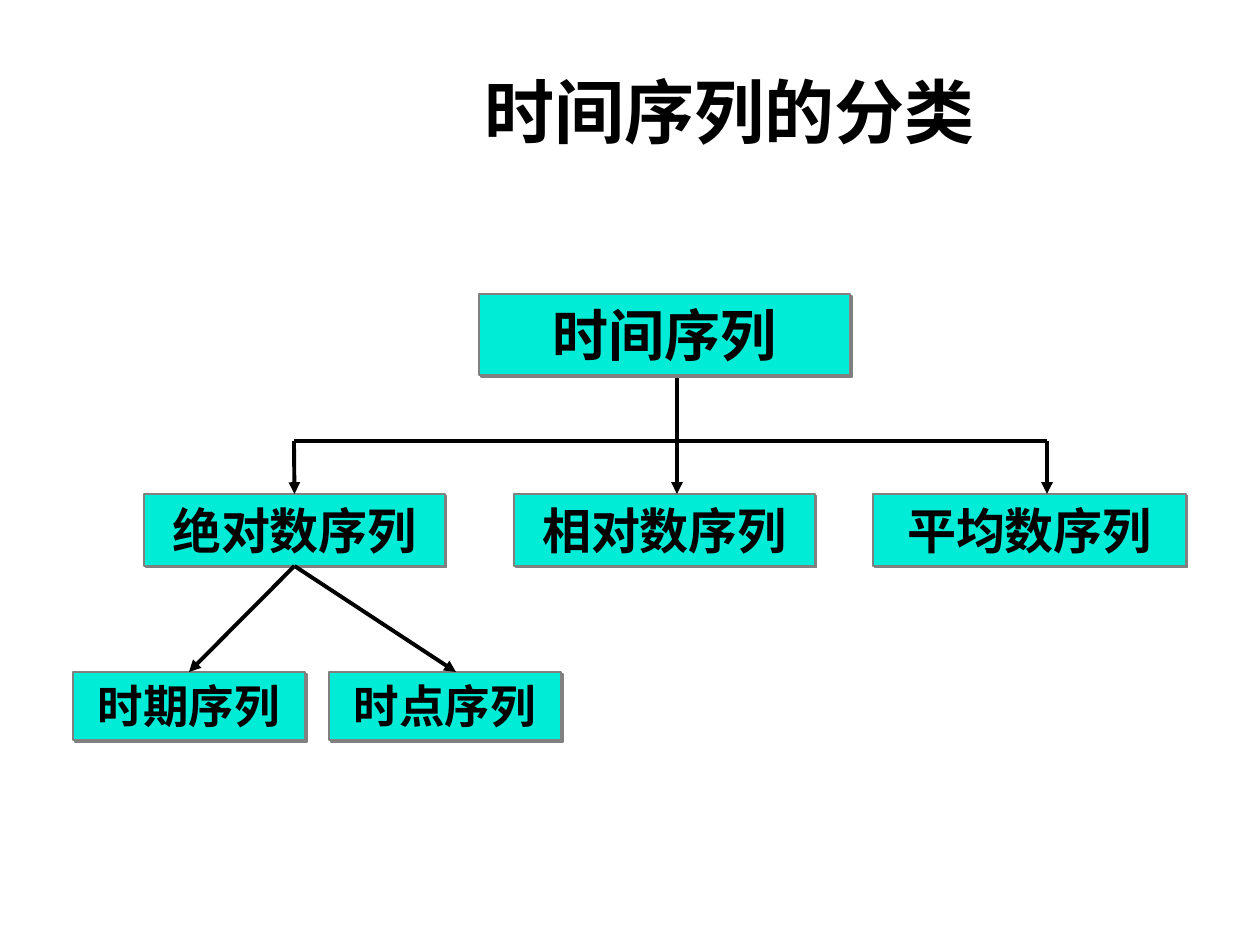
from typing import NamedTuple

from lxml.etree import SubElement as Sub
from pptx import Presentation
from pptx.dml.color import RGBColor
from pptx.enum.shapes import MSO_CONNECTOR as Link, MSO_SHAPE as Form
from pptx.enum.text import MSO_ANCHOR as Anchor, MSO_AUTO_SIZE as Fit, PP_ALIGN as Align
from pptx.oxml.ns import qn
from pptx.util import Emu, Pt

TEAL = RGBColor(0x00, 0xEC, 0xD6)
GRAY = RGBColor(0x80, 0x80, 0x80)
BLACK = RGBColor(0x00, 0x00, 0x00)
FONT = "Arial"
DPI = 126
TOP, LEFT, BOTTOM, RIGHT = range(4)


class Box(NamedTuple):
    text: str
    x: int
    y: int
    w: int
    h: int
    size: int


class Line(NamedTuple):
    x1: int
    y1: int
    x2: int
    y2: int
    arrow: bool = False
    start: str = ""
    end: str = ""


def px(n: int) -> Emu:
    return Emu(round(n * 914400 / DPI))


def write(shape, text: str, *, size: int, anchor=Anchor.TOP, fit=Fit.NONE) -> None:
    frame = shape.text_frame
    frame.word_wrap = True
    frame.auto_size = fit
    frame.vertical_anchor = anchor
    para = frame.paragraphs[0]
    para.alignment = Align.CENTER
    run = para.add_run()
    run.text = text
    font = run.font
    font.name, font.size, font.bold = FONT, Pt(size), True
    font.color.rgb = BLACK


def shade(shape) -> None:
    shape.shadow.inherit = False
    fx = shape._element.spPr.find(qn("a:effectLst"))
    drop = Sub(fx, qn("a:outerShdw"), dist=str(Pt(1.4)), dir="2700000",
               algn="ctr", rotWithShape="0")
    Sub(drop, qn("a:srgbClr"), val=str(GRAY))


def draw_box(slide, box: Box):
    shape = slide.shapes.add_shape(
        Form.RECTANGLE, px(box.x), px(box.y), px(box.w), px(box.h))
    shape.fill.solid()
    shape.fill.fore_color.rgb = TEAL
    shape.line.color.rgb = GRAY
    shape.line.width = Pt(1)
    shade(shape)
    write(shape, box.text, size=box.size, fit=Fit.SHAPE_TO_FIT_TEXT)
    return shape


def draw_line(slide, line: Line, nodes: dict) -> None:
    wire = slide.shapes.add_connector(
        Link.STRAIGHT, px(line.x1), px(line.y1), px(line.x2), px(line.y2))
    if line.start:
        wire.begin_connect(nodes[line.start], BOTTOM)
    if line.end:
        wire.end_connect(nodes[line.end], TOP)
    wire.line.color.rgb = BLACK
    wire.line.width = Pt(2.25)
    if line.arrow:
        Sub(wire.line._get_or_add_ln(), qn("a:tailEnd"), type="triangle")
    Sub(wire._element.spPr, qn("a:effectLst"))


ROW2, ROW3 = 494, 672
BAR = 441
STEM, WEST, EAST = 677, 294, 1047
FORK = 567

BOXES = [
    Box("时间序列", 479, 294, 371, 81, 32),
    Box("绝对数序列", 144, ROW2, 301, 72, 28),
    Box("相对数序列", 514, ROW2, 301, 72, 28),
    Box("平均数序列", 873, ROW2, 313, 72, 28),
    Box("时期序列", 73, ROW3, 232, 68, 26),
    Box("时点序列", 329, ROW3, 232, 68, 26),
]

LINES = [
    Line(WEST, BAR, EAST, BAR),
    Line(STEM, 378, STEM, BAR),
    Line(WEST, BAR, WEST, ROW2, True, end="绝对数序列"),
    Line(STEM, BAR, STEM, ROW2, True),
    Line(EAST, BAR, EAST, ROW2, True),
    Line(WEST, FORK, 189, ROW3, True, "绝对数序列", "时期序列"),
    Line(WEST, FORK, 456, ROW3, True, "绝对数序列"),
]


def main() -> None:
    deck = Presentation()
    deck.slide_width, deck.slide_height = px(1260), px(945)
    slide = deck.slides.add_slide(deck.slide_layouts[6])
    title = slide.shapes.add_textbox(px(262), px(32), px(935), px(158))
    write(title, "时间序列的分类", size=40, anchor=Anchor.MIDDLE)
    nodes = {box.text: draw_box(slide, box) for box in BOXES}
    for line in LINES:
        draw_line(slide, line, nodes)
    deck.save("out.pptx")


if __name__ == "__main__":
    main()
